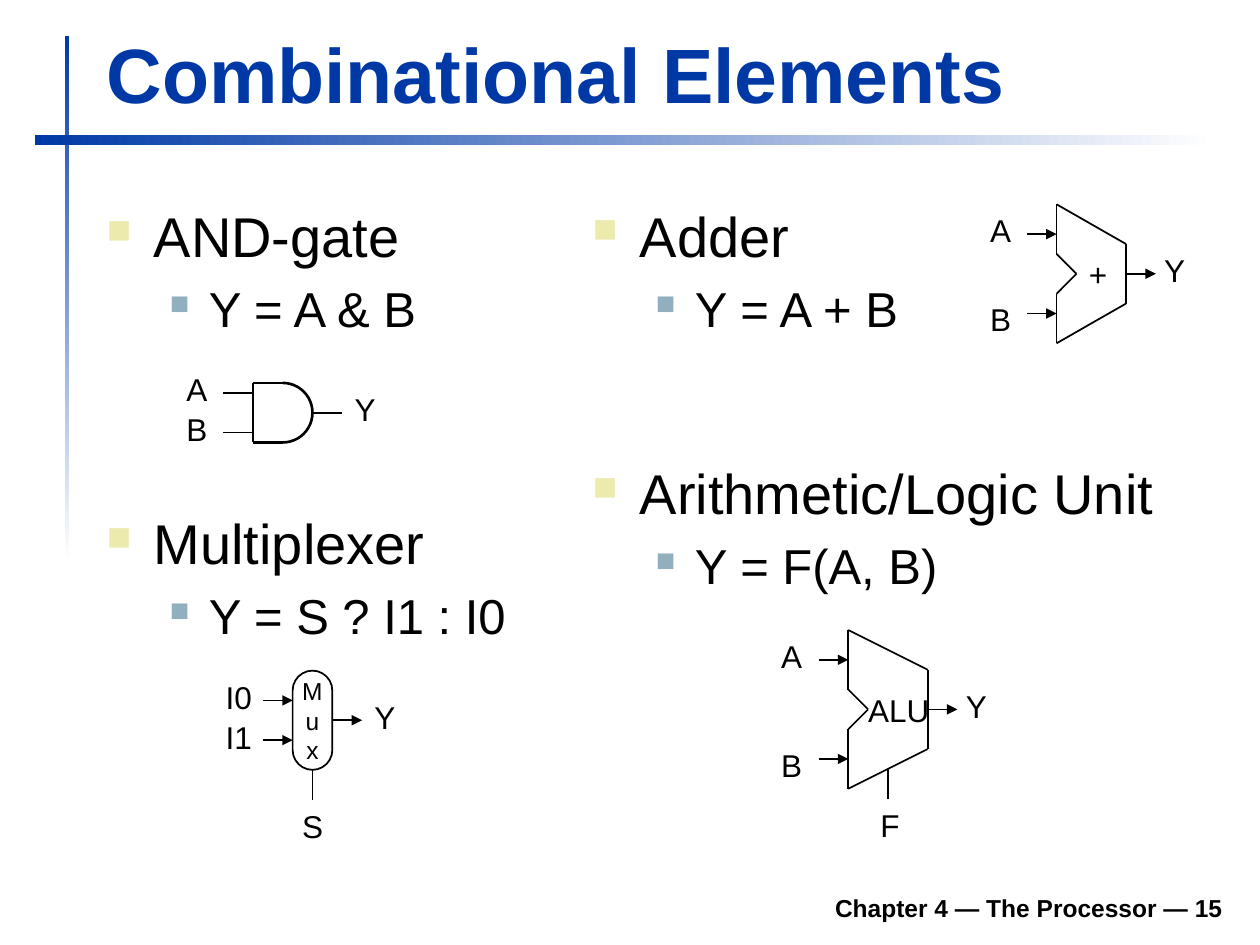
from itertools import pairwise

from lxml import etree
from pptx import Presentation
from pptx import util as u
from pptx.dml.color import RGBColor
from pptx.enum import shapes, text
from pptx.oxml import ns

BLUE = RGBColor(0x00, 0x39, 0xA6)
WHITE = RGBColor(0xFF, 0xFF, 0xFF)
BLACK = RGBColor(0x00, 0x00, 0x00)
CREAM = RGBColor(0xEC, 0xEA, 0xAC)
STEEL = RGBColor(0x91, 0xAF, 0xBF)

# Bullet levels: text size, left margin (cm), hanging indent (cm), bullet colour, bullet size (%)
LEVELS = [(32, 0.95, 0.95, CREAM, 60), (28, 2.06, 0.79, STEEL, 55)]
LABEL_INSET = (0.25, 0.13)


def add_xml(parent, tag, **attributes):
    return etree.SubElement(parent, ns.qn(tag), attributes)


class Board:
    """Holds the text style and the current slide; all lengths are in cm."""

    font_name = "Arial"

    def __init__(self, slide):
        self.slide = slide

    def style(self, frame, size, color=BLACK, bold=False, align=None):
        values = {"name": self.font_name, "size": u.Pt(size), "bold": bold}
        for paragraph in frame.paragraphs:
            paragraph.alignment = align
            for run in paragraph.runs:
                for attribute, value in values.items():
                    setattr(run.font, attribute, value)
                run.font.color.rgb = color

    def frame(self, frame, inset=LABEL_INSET, wrap=True, anchor=text.MSO_ANCHOR.TOP):
        side, end = map(u.Cm, inset)
        values = {
            "margin_left": side, "margin_right": side,
            "margin_top": end, "margin_bottom": end,
            "word_wrap": wrap, "vertical_anchor": anchor,
        }
        for attribute, value in values.items():
            setattr(frame, attribute, value)
        return frame

    def text(self, words, box, size=18, layout=None, **style):
        textbox = self.slide.shapes.add_textbox(*map(u.Cm, box))
        frame = self.frame(textbox.text_frame, **(layout or {}))
        frame.text = words
        self.style(frame, size, **style)

    def label(self, words, left, top, width=0.94):
        self.text(words, (left, top, width, 1.02), layout={"wrap": False})

    def inner_label(self, words, left, top, width):
        self.text(words, (left, top, width, 0.76), layout={"wrap": False, "inset": (0, 0)})

    def bullets(self, heading, formula, left, top, width):
        box = self.slide.shapes.add_textbox(*map(u.Cm, (left, top, width, 3.61)))
        frame = self.frame(box.text_frame)
        frame.text = f"{heading}\n{formula}"
        self.style(frame, LEVELS[0][0])
        for level, paragraph in enumerate(frame.paragraphs):
            size, margin, hang, color, percent = LEVELS[level]
            properties = paragraph._p.get_or_add_pPr()
            properties.set("marL", str(u.Cm(margin)))
            properties.set("indent", str(-u.Cm(hang)))
            add_xml(add_xml(properties, "a:buClr"), "a:srgbClr", val=str(color))
            add_xml(properties, "a:buSzPct", val=str(percent * 1000))
            add_xml(properties, "a:buFont", typeface="Wingdings", charset="2")
            add_xml(properties, "a:buChar", char="n")
            paragraph.level = level
            paragraph.runs[0].font.size = u.Pt(size)
            if level:
                paragraph.space_before = u.Pt(size * 0.2)

    def fading_bar(self, box, angle):
        bar = self.slide.shapes.add_shape(shapes.MSO_SHAPE.RECTANGLE, *map(u.Cm, box))
        bar.shadow.inherit = False
        bar.line.fill.background()
        bar.fill.gradient()
        bar.fill.gradient_angle = angle
        for stop, color, position in zip(bar.fill.gradient_stops, (BLUE, WHITE), (0, 1)):
            stop.color.rgb = color
            stop.position = position

    def outline(self, kind, box, rounding, width=1):
        shape = self.slide.shapes.add_shape(kind, *map(u.Cm, box))
        shape.adjustments[0] = rounding
        shape.shadow.inherit = False
        shape.fill.background()
        shape.line.color.rgb = BLACK
        shape.line.width = u.Pt(width)
        return shape

    def wire(self, start, end, arrow=False, width=1):
        wire = self.slide.shapes.add_connector(
            shapes.MSO_CONNECTOR.STRAIGHT, *map(u.Cm, (*start, *end)))
        wire.line.color.rgb = BLACK
        wire.line.width = u.Pt(width)
        if arrow:
            add_xml(wire.line._get_or_add_ln(), "a:tailEnd", type="triangle")
        add_xml(wire._element.spPr, "a:effectLst")

    def chain(self, points, width=1):
        """Straight lines joining each point to the next."""
        for start, end in pairwise(points):
            self.wire(start, end, width=width)

    def side_wires(self, left, right, middle, spread, arrow=True):
        """Two inputs ending at left and one output starting at right."""
        for y in (middle - spread, middle + spread):
            self.wire((left - 0.6, y), (left, y), arrow)
        self.wire((right, middle), (right + 0.6, middle), arrow)

    def notched_unit(self, left, middle, width, half_left, half_right, spread):
        """Adder or ALU outline with its wires."""
        right = left + width
        top = (left, middle - half_left)
        self.chain([
            top, (right, middle - half_right),
            (right, middle + half_right), (left, middle + half_left),
            (left, middle + 0.4), (left + 0.4, middle), (left, middle - 0.4), top,
        ])
        self.side_wires(left, right, middle, spread)


def and_gate(board):
    board.outline(shapes.MSO_SHAPE.RIGHT_BRACKET, (5.7, 7.72, 0.6, 1.2), 1, 1.5)
    board.chain([(5.7, 7.72), (5.1, 7.72), (5.1, 8.92), (5.7, 8.92)], 1.5)
    board.side_wires(5.1, 6.3, 8.32, 0.4, arrow=False)
    board.label("A", 3.51, 7.33)
    board.label("B", 3.51, 8.13)
    board.label("Y", 6.9, 7.74)


def multiplexer(board):
    body = board.outline(shapes.MSO_SHAPE.ROUNDED_RECTANGLE, (5.9, 13.52, 0.8, 2), 0.5)
    frame = board.frame(body.text_frame, inset=(0, 0))
    frame.text = "M\nu\nx"
    board.style(frame, 14, align=text.PP_ALIGN.CENTER)
    board.side_wires(5.9, 6.7, 14.52, 0.4)
    board.wire((6.3, 16.12), (6.3, 15.52))
    board.label("I0", 4.3, 13.54, 1.04)
    board.label("I1", 4.3, 14.35, 1.04)
    board.label("Y", 7.3, 13.94)
    board.label("S", 5.84, 16.13)


def adder(board):
    board.notched_unit(21.3, 5.52, 1.4, 1.4, 0.6, 0.8)
    board.inner_label("+", 21.95, 5.14, 0.38)
    board.label("A", 19.71, 4.13)
    board.label("B", 19.71, 5.92)
    board.label("Y", 23.22, 4.93)


def logic_unit(board):
    board.notched_unit(17.1, 14.3, 1.6, 1.6, 0.8, 1)
    board.inner_label("ALU", 17.5, 13.93, 1.24)
    board.wire((17.9, 15.5), (17.9, 16.1))
    board.label("A", 15.5, 12.72)
    board.label("B", 15.5, 14.9)
    board.label("Y", 19.22, 13.72)
    board.label("F", 17.5, 16.12, 0.89)


def main():
    deck = Presentation()
    deck.slide_width, deck.slide_height = u.Cm(25.4), u.Cm(19.05)
    board = Board(deck.slides.add_slide(deck.slide_layouts[6]))

    board.fading_bar((1.31, 0.72, 0.09, 10.6), 270)
    board.fading_bar((0.7, 2.72, 23.8, 0.2), 0)
    bottom = {"anchor": text.MSO_ANCHOR.BOTTOM}
    board.text("Combinational Elements", (1.9, 0.41, 22.94, 2.11), 44, bottom,
               color=BLUE, bold=True)
    board.text("Chapter 4 — The Processor — 15", (4.7, 17.73, 20.2, 0.99), 14, bottom,
               bold=True, align=text.PP_ALIGN.RIGHT)

    board.bullets("AND-gate", "Y = A & B", 1.9, 3.94, 8.61)
    board.bullets("Multiplexer", "Y = S ? I1 : I0", 1.9, 10.13, 8.99)
    board.bullets("Adder", "Y = A + B", 11.7, 3.93, 8.61)
    board.bullets("Arithmetic/Logic Unit", "Y = F(A, B)", 11.7, 9.12, 11.99)

    for diagram in (and_gate, multiplexer, adder, logic_unit):
        diagram(board)
    deck.save("out.pptx")


if __name__ == "__main__":
    main()
